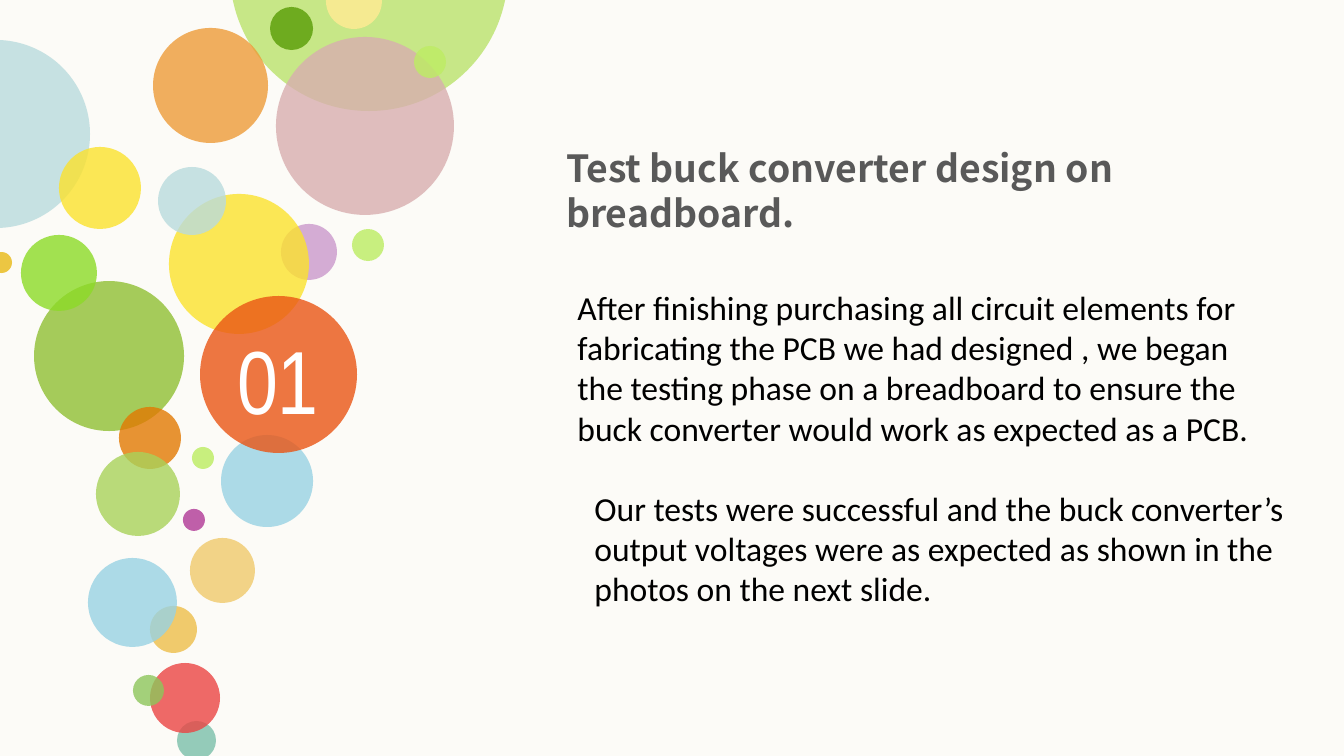
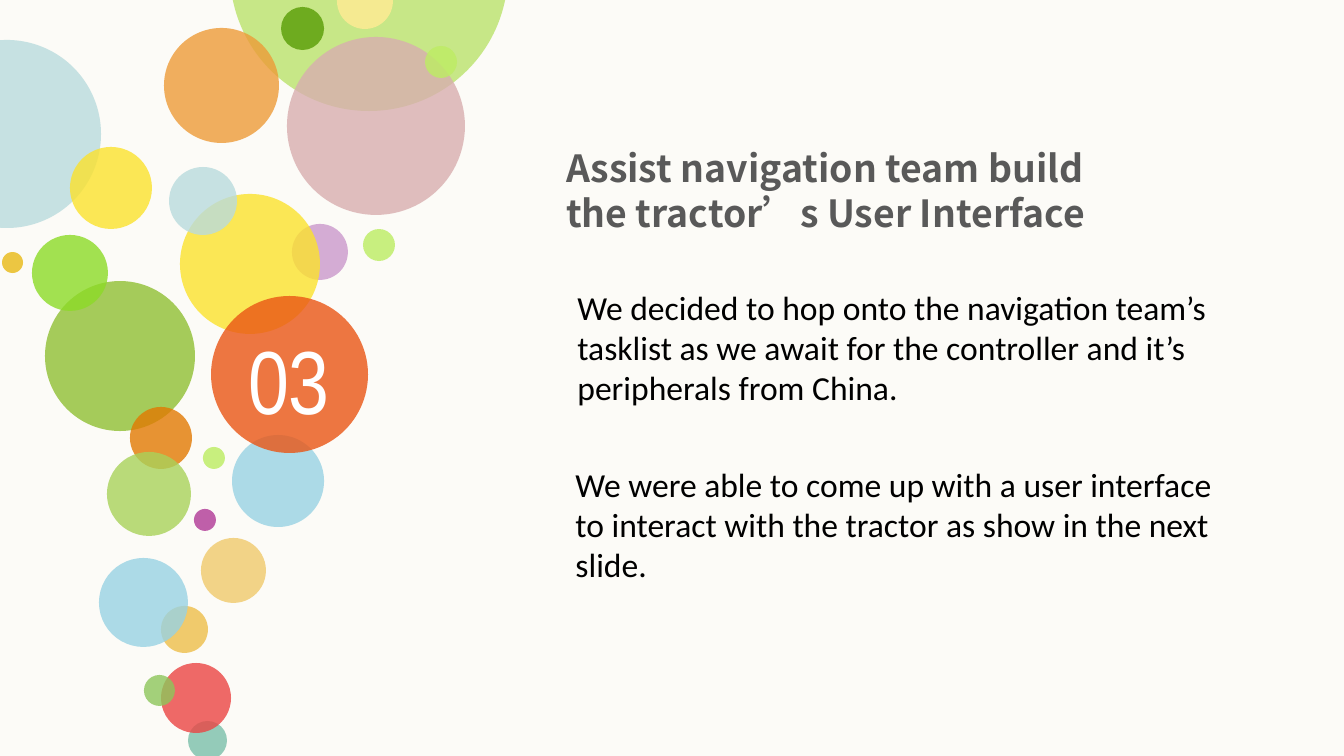
from lxml import etree
from pptx import Presentation
from pptx.dml.color import RGBColor
from pptx.enum.shapes import MSO_SHAPE
from pptx.enum.text import MSO_ANCHOR, MSO_AUTO_SIZE, PP_ALIGN
from pptx.oxml.ns import qn
from pptx.util import Emu, Pt

ELLIPSE = MSO_SHAPE.OVAL
TOP = MSO_ANCHOR.TOP
GROW = MSO_AUTO_SIZE.SHAPE_TO_FIT_TEXT
LEFT, CENTER = PP_ALIGN.LEFT, PP_ALIGN.CENTER

SCALE = 914400 / 134.4
PAGE_WIDTH, PAGE_HEIGHT = 1344, 756
TWO_CONTENT_LAYOUT = 3

PAPER, WHITE, BLACK, GREY = "FCFBF7", "FFFFFF", "000000", "595959"
TITLE_FONT, BODY_FONT, NUMBER_FONT = "Noto Sans CJK SC", "Calibri", "Arial Narrow"

CROWN = (230, -167, 278, "BAE36B", 80)
BUBBLES = [
    (270, 7, 43, "6EAB1F", 100),
    (-98, 40, 188, "B9DBDD", 80),
    (153, 28, 115, "ED9B38", 80),
    (326, -27, 56, "F5EA91", 100),
    (276, 37, 178, "D8AEAF", 80),
    (34, 281, 150, "A5CB5A", 100),
    (414, 46, 32, "BDED63", 80),
    (352, 229, 32, "BCED61", 80),
    (281, 224, 56, "CB99CC", 80),
    (169, 194, 140, "FBE22D", 80),
    (59, 147, 82, "FBE22D", 80),
    (21, 235, 76, "8CDB27", 80),
    (-9, 252, 21, "E9B915", 80),
    (192, 447, 22, "BCED60", 80),
    (183, 509, 22, "B03896", 80),
    (190, 538, 65, "F0CA6C", 80),
    (150, 606, 47, "F0CA6C", 100),
    (177, 721, 39, "7BBFAA", 80),
    (150, 663, 70, "EB4544", 80),
    (133, 675, 31, "8DC65B", 80),
    (88, 558, 89, "98D2E3", 80),
    (158, 167, 68, "B9DBDD", 80),
    (221, 435, 92, "98D2E3", 80),
    (119, 407, 62, "E27902", 80),
    (96, 452, 84, "A9D25A", 80),
    (200, 296, 157, "EA5514", 80),
]

SECTIONS = [
    {
        "number": "01",
        "drift": 0,
        "title": "Test buck converter design on breadboard.",
        "blocks": [
            ((564, 280, 698, 176), [
                "After finishing purchasing all circuit elements for",
                "fabricating the PCB we had designed , we began",
                "the testing phase on a breadboard to ensure the",
                "buck converter would work as expected as a PCB.",
            ]),
            ((581, 481, 723, 136), [
                "Our tests were successful and the buck converter’s",
                "output voltages were as expected as shown in the",
                "photos on the next slide.",
            ]),
        ],
    },
    {
        "number": "03",
        "drift": 11,
        "title": "Assist navigation team build the tractor’s User Interface",
        "blocks": [
            ((564, 280, 656, 136), [
                "We decided to hop onto the navigation team’s",
                "tasklist as we await for the controller and it’s",
                "peripherals from China.",
            ]),
            ((562, 457, 739, 95), [
                "We were able to come up with a user interface",
                "to interact with the tractor as show in the next slide.",
            ]),
        ],
    },
]


def px(length):
    return Emu(round(length * SCALE))


def paint(fill, color, opacity=100):
    fill.solid()
    fill.fore_color.rgb = RGBColor.from_string(color)
    if opacity < 100:
        color_node = fill.fore_color._xFill.find(qn("a:srgbClr"))
        etree.SubElement(color_node, qn("a:alpha"), val=str(opacity * 1000))


def place(shape, box):
    shape.left, shape.top, shape.width, shape.height = map(px, box)


def prepare_frame(shape, wrap, inset=None):
    frame = shape.text_frame
    frame.word_wrap = wrap
    frame.auto_size = GROW
    frame.vertical_anchor = TOP
    if inset is not None:
        frame.margin_left = frame.margin_right = px(inset)
        frame.margin_top = frame.margin_bottom = px(inset)
    return frame


def add_span(para, text, font, size, color, bold=False):
    span = para.add_run()
    span.text = text
    span.font.name = font
    span.font.size = Pt(size)
    span.font.bold = bold
    span.font.color.rgb = RGBColor.from_string(color)
    etree.SubElement(span.font._element, qn("a:ea"), typeface=font)


def clear_bullet(para):
    properties = para._p.get_or_add_pPr()
    properties.set("marL", "0")
    properties.set("indent", "0")
    etree.SubElement(properties, qn("a:buNone"))


def draw_bubble(page, box, bubble):
    left, top, size, color, opacity = bubble
    shape = page.shapes.add_shape(
        ELLIPSE, px(box[0] + left), px(box[1] + top), px(size), px(size))
    shape.shadow.inherit = False
    shape.line.fill.background()
    paint(shape.fill, color, opacity)


def draw_cluster(page, box, number):
    for bubble in BUBBLES:
        draw_bubble(page, box, bubble)
    left, top = box
    label = page.shapes.add_textbox(px(left + 224), px(top + 325), px(108), px(109))
    para = prepare_frame(label, True, 0).paragraphs[0]
    para.alignment = CENTER
    add_span(para, number, NUMBER_FONT, 48, WHITE)


def write_title(page, box, text):
    title = page.shapes.title
    place(title, box)
    para = prepare_frame(title, True, 0).paragraphs[0]
    para.alignment = LEFT
    para.line_spacing = Pt(24)
    add_span(para, text, TITLE_FONT, 20, GREY, True)


def write_block(holder, box, lines):
    place(holder, box)
    frame = prepare_frame(holder, False)
    for index, line in enumerate(lines):
        para = frame.add_paragraph() if index else frame.paragraphs[0]
        para.alignment = LEFT
        para.space_before = Pt(0)
        clear_bullet(para)
        add_span(para, line, BODY_FONT, 18, BLACK)


def build_section(deck, section):
    page = deck.slides.add_slide(deck.slide_layouts[TWO_CONTENT_LAYOUT])
    draw_bubble(page, (0, 0), CROWN)
    draw_cluster(page, (section["drift"], 0), section["number"])
    write_title(page, (566, 145, 554, 136), section["title"])
    holders = [page.placeholders[1], page.placeholders[2]]
    for holder, (box, lines) in zip(holders, section["blocks"]):
        write_block(holder, box, lines)


deck = Presentation()
deck.slide_width, deck.slide_height = px(PAGE_WIDTH), px(PAGE_HEIGHT)
paint(deck.slide_master.background.fill, PAPER)
for section in SECTIONS:
    build_section(deck, section)
deck.save("out.pptx")
